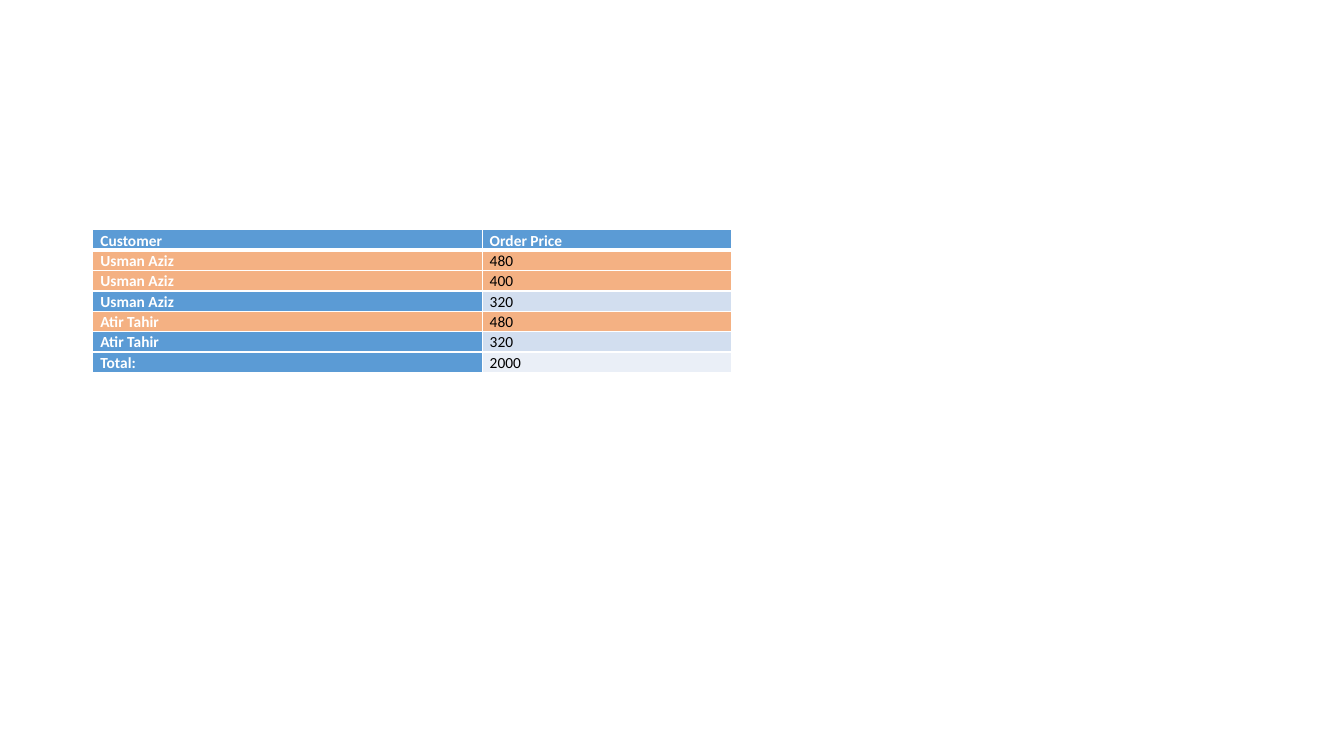
from lxml import etree
from pptx import Presentation
from pptx import util as u
from pptx.dml.color import RGBColor
from pptx.oxml import ns

WHITE = RGBColor(0xFF, 0xFF, 0xFF)
BLACK = RGBColor(0x00, 0x00, 0x00)
BLUE = RGBColor(0x5B, 0x9B, 0xD5)
BAND = RGBColor(0xD2, 0xDE, 0xEF)
PALE = RGBColor(0xEA, 0xEF, 0xF7)
ORANGE = RGBColor(0xF4, 0xB1, 0x83)

ORDERS = [
    ("Customer", "Order Price", BLUE, BLUE),
    ("Usman Aziz", "480", ORANGE, ORANGE),
    ("Usman Aziz", "400", ORANGE, ORANGE),
    ("Usman Aziz", "320", BLUE, BAND),
    ("Atir Tahir", "480", ORANGE, ORANGE),
    ("Atir Tahir", "320", BLUE, BAND),
    ("Total:", "2000", BLUE, PALE),
]
CUSTOMER_SHARE = 0.61
MARGINS = {
    "margin_left": u.Pt(5.4),
    "margin_right": u.Pt(5.4),
    "margin_top": u.Pt(0),
    "margin_bottom": u.Pt(0),
}


def set_format(target, values):
    """Set every attribute named in values on the target."""
    for name, value in values.items():
        setattr(target, name, value)


def set_borders(cell, widths):
    """Draw white cell borders with the given widths in points."""
    properties = cell._tc.get_or_add_tcPr()
    for index, (side, width) in enumerate(widths.items()):
        line = etree.Element(ns.qn(f"a:ln{side}"), w=str(u.Pt(width)))
        fill = etree.SubElement(line, ns.qn("a:solidFill"))
        etree.SubElement(fill, ns.qn("a:srgbClr"), val=str(WHITE))
        properties.insert(index, line)


def fill_cell(cell, words, colour, heading):
    """Write and format one cell, with bold white text for a heading."""
    set_format(cell, MARGINS)
    cell.fill.solid()
    cell.fill.fore_color.rgb = colour
    para = cell.text_frame.paragraphs[0]
    para.line_spacing = 1.07
    span = para.add_run()
    span.text = words
    set_format(span.font, {"name": "Calibri", "size": u.Pt(11), "bold": heading})
    span.font.color.rgb = WHITE if heading else BLACK


def add_order_table(page, left, top, width, height):
    """Place the table of customer orders in the given box."""
    frame = page.shapes.add_table(len(ORDERS), 2, left, top, width, height)
    table = frame.table
    customer_width = u.Pt(round(width.pt * CUSTOMER_SHARE, 2))
    table.columns[0].width = customer_width
    table.columns[1].width = width - customer_width
    set_format(table, {"first_col": True})
    for row, (customer, price, customer_fill, price_fill) in enumerate(ORDERS):
        widths = {"L": 1, "R": 1, "T": 3 if row == 1 else 1, "B": 3 if row == 0 else 1}
        parts = [(customer, customer_fill, True), (price, price_fill, row == 0)]
        for column, (words, colour, heading) in enumerate(parts):
            cell = table.cell(row, column)
            fill_cell(cell, words, colour, heading)
            set_borders(cell, widths)


def main():
    """Build the deck and save it."""
    deck = Presentation()
    set_format(deck, {"slide_width": u.Pt(960), "slide_height": u.Pt(540)})
    page = deck.slides.add_slide(deck.slide_layouts[6])
    add_order_table(page, u.Pt(66.3), u.Pt(164.2), u.Pt(456), u.Pt(98.7))
    deck.save("out.pptx")


if __name__ == "__main__":
    main()
